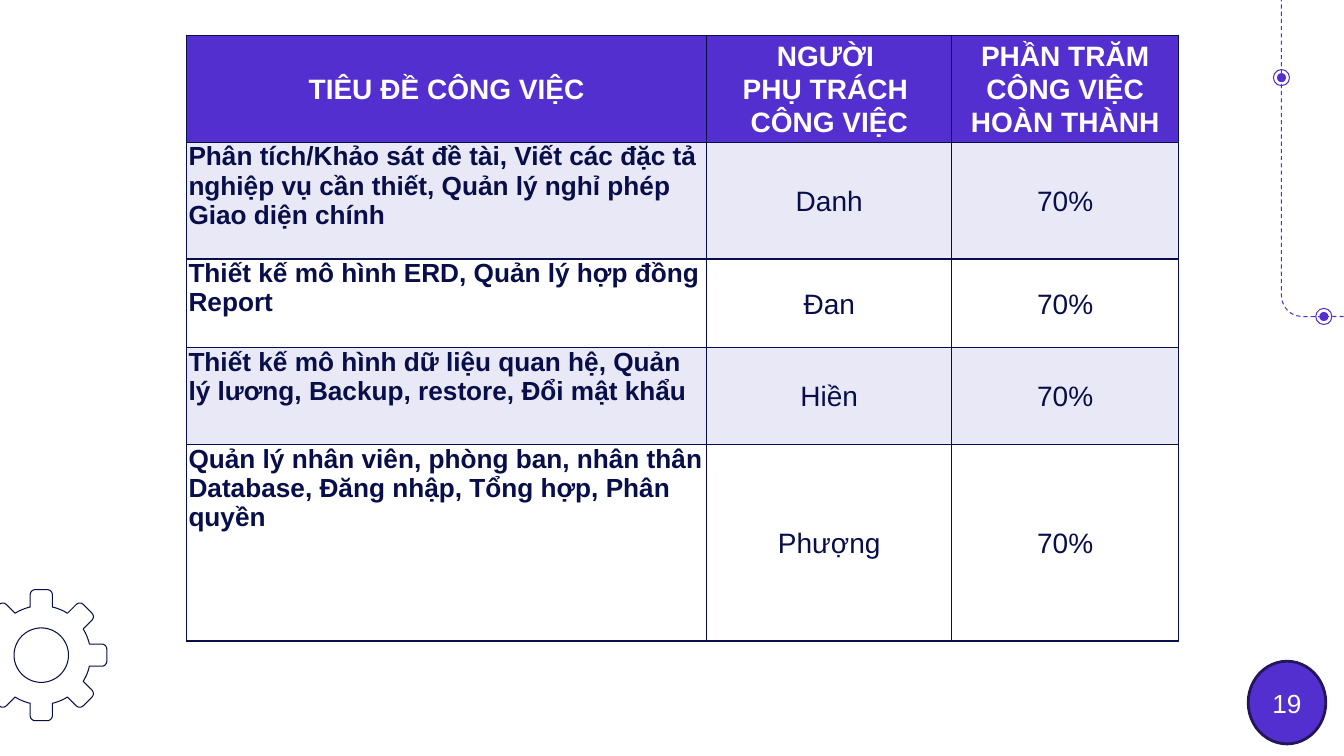
import math
from dataclasses import dataclass

import pptx
import pptx.util
from lxml import etree
from pptx.dml.color import RGBColor
from pptx.enum.dml import MSO_LINE
from pptx.enum.shapes import MSO_SHAPE
from pptx.enum.text import MSO_ANCHOR, PP_ALIGN
from pptx.oxml.ns import qn
from pptx.util import Inches

PURPLE = RGBColor(0x54, 0x2F, 0xD0)
DARK_PURPLE = RGBColor(0x25, 0x15, 0x5B)
NAVY = RGBColor(0x07, 0x0E, 0x49)
LAVENDER = RGBColor(0xE9, 0xE8, 0xF7)
WHITE = RGBColor(0xFF, 0xFF, 0xFF)
FONT = "Arial"


@dataclass
class Assignment:
    task: str
    person: str
    progress: str
    height: float


@dataclass
class TextStyle:
    size: float
    color: RGBColor
    bold: bool = False
    centered: bool = True


HEADER_STYLE = TextStyle(20, WHITE, bold=True)
TASK_STYLE = TextStyle(18.7, NAVY, bold=True, centered=False)
VALUE_STYLE = TextStyle(20, NAVY)
NUMBER_STYLE = TextStyle(18.7, WHITE)

COLUMN_WIDTHS = (5.16, 2.43, 2.25)
ROWS = (
    Assignment("TIÊU ĐỀ CÔNG VIỆC", "NGƯỜI \vPHỤ TRÁCH \vCÔNG VIỆC",
               "PHẦN TRĂM CÔNG VIỆC HOÀN THÀNH", 1.06),
    Assignment("Phân tích/Khảo sát đề tài, Viết các đặc tả nghiệp vụ cần thiết, "
               "Quản lý nghỉ phép\nGiao diện chính", "Danh", "70%", 1.16),
    Assignment("Thiết kế mô hình ERD, Quản lý hợp đồng\nReport", "Đan", "70%", 0.88),
    Assignment("Thiết kế mô hình dữ liệu quan hệ, Quản lý lương, Backup, restore, "
               "Đổi mật khẩu", "Hiền", "70%", 0.96),
    Assignment("Quản lý nhân viên, phòng ban, nhân thân\n"
               "Database, Đăng nhập, Tổng hợp, Phân quyền", "Phượng", "70%", 1.95),
)
DOT_CENTERS = ((12.71, 0.77), (13.13, 3.14))


def style_text(text_frame, style: TextStyle, line_spacing: float = 1.0) -> None:
    for paragraph in text_frame.paragraphs:
        paragraph.alignment = PP_ALIGN.CENTER if style.centered else PP_ALIGN.LEFT
        paragraph.line_spacing = line_spacing
        for run in paragraph.runs:
            run.font.name = FONT
            run.font.size = pptx.util.Pt(style.size)
            run.font.bold = style.bold
            run.font.color.rgb = style.color


def style_shape(shape, fill: RGBColor | None, line: RGBColor | None,
                line_width: float = 0.75) -> None:
    shape.shadow.inherit = False
    if fill is None:
        shape.fill.background()
    else:
        shape.fill.solid()
        shape.fill.fore_color.rgb = fill
    if line is None:
        shape.line.fill.background()
    else:
        shape.line.color.rgb = line
        shape.line.width = pptx.util.Pt(line_width)


def add_circle(slide, center: tuple[float, float], diameter: float,
               fill: RGBColor | None, line: RGBColor | None) -> None:
    left, top = (value - diameter / 2 for value in center)
    circle = slide.shapes.add_shape(MSO_SHAPE.OVAL, Inches(left), Inches(top),
                                    Inches(diameter), Inches(diameter))
    style_shape(circle, fill, line)


def add_dashed_track(slide) -> None:
    track = slide.shapes.add_shape(MSO_SHAPE.ROUNDED_RECTANGLE, Inches(12.71), Inches(-0.35),
                                   Inches(1.21), Inches(3.49))
    track.adjustments[0] = 0.17
    style_shape(track, None, PURPLE)
    track.line.dash_style = MSO_LINE.DASH
    for center in DOT_CENTERS:
        add_circle(slide, center, 0.09, PURPLE, None)
        add_circle(slide, center, 0.16, None, PURPLE)


def arc(radius: float, start: float, end: float, steps: int) -> list[tuple[float, float]]:
    angles = [math.radians(start + (end - start) * step / steps) for step in range(steps + 1)]
    return [(radius * math.cos(angle), radius * math.sin(angle)) for angle in angles]


def add_gear(slide) -> None:
    center_x, center_y = 0.41, 6.5
    teeth, body_radius, tip_radius, hole_radius = 8, 0.49, 0.65, 0.27
    half_width, corner = 0.11, 0.05
    pitch = 360 / teeth
    base_angle = math.degrees(math.asin(half_width / body_radius))

    # One tooth pointing right, then the body arc up to the next tooth
    tooth = []
    for side, start in ((-1, -90), (1, 0)):
        tooth += [(tip_radius - corner + x, side * (half_width - corner) + y)
                  for x, y in arc(corner, start, start + 90, 6)]
    tooth += arc(body_radius, base_angle, pitch - base_angle, 8)

    outline = []
    for index in range(teeth):
        turn = math.radians(index * pitch)
        outline += [(x * math.cos(turn) - y * math.sin(turn),
                     x * math.sin(turn) + y * math.cos(turn)) for x, y in tooth]

    contours = [[(Inches(center_x + x), Inches(center_y + y)) for x, y in contour]
                for contour in (outline, arc(hole_radius, 0, 360, 72))]
    builder = slide.shapes.build_freeform(*contours[0][0])
    builder.add_line_segments(contours[0][1:], close=True)
    builder.move_to(*contours[1][0])
    builder.add_line_segments(contours[1][1:], close=True)
    style_shape(builder.convert_to_shape(), None, NAVY)


def add_cell_borders(cell, color: RGBColor, width: float) -> None:
    properties = cell._tc.get_or_add_tcPr()
    for edge in ("a:lnL", "a:lnR", "a:lnT", "a:lnB"):
        border = etree.SubElement(properties, qn(edge), w=str(pptx.util.Pt(width)))
        fill = etree.SubElement(border, qn("a:solidFill"))
        etree.SubElement(fill, qn("a:srgbClr"), val=str(color))


def add_assignment_table(slide) -> None:
    frame = slide.shapes.add_table(len(ROWS), len(COLUMN_WIDTHS), Inches(1.85), Inches(0.35),
                                   Inches(sum(COLUMN_WIDTHS)),
                                   Inches(sum(row.height for row in ROWS)))
    table = frame.table
    for column, width in zip(table.columns, COLUMN_WIDTHS):
        column.width = Inches(width)
    for row_index, row in enumerate(ROWS):
        table.rows[row_index].height = Inches(row.height)
        if row_index == 0:
            fill = PURPLE
        else:
            fill = LAVENDER if row_index % 2 else WHITE
        for column_index, text in enumerate((row.task, row.person, row.progress)):
            cell = table.cell(row_index, column_index)
            if row_index == 0:
                style = HEADER_STYLE
            else:
                style = VALUE_STYLE if column_index else TASK_STYLE
            add_cell_borders(cell, NAVY, 1)
            cell.fill.solid()
            cell.fill.fore_color.rgb = fill
            cell.margin_left = cell.margin_right = Inches(0.02)
            cell.margin_top = cell.margin_bottom = 0
            cell.vertical_anchor = MSO_ANCHOR.MIDDLE if style.centered else MSO_ANCHOR.TOP
            cell.text_frame.text = text
            style_text(cell.text_frame, style, 1.07 if style.centered else 1.0)


def add_slide_number(slide) -> None:
    badge = slide.shapes.add_shape(MSO_SHAPE.OVAL, Inches(12.38), Inches(6.56),
                                   Inches(0.77), Inches(0.82))
    style_shape(badge, PURPLE, DARK_PURPLE, 2)
    badge.text_frame.text = "19"
    badge.text_frame.vertical_anchor = MSO_ANCHOR.MIDDLE
    badge.text_frame.margin_left = badge.text_frame.margin_right = 0
    style_text(badge.text_frame, NUMBER_STYLE)


def main() -> None:
    presentation = pptx.Presentation()
    presentation.slide_width = Inches(13.33)
    presentation.slide_height = Inches(7.5)
    slide = presentation.slides.add_slide(presentation.slide_layouts[6])

    # Decoration
    add_dashed_track(slide)
    add_gear(slide)

    # Content
    add_slide_number(slide)
    add_assignment_table(slide)
    presentation.save("out.pptx")


if __name__ == "__main__":
    main()
